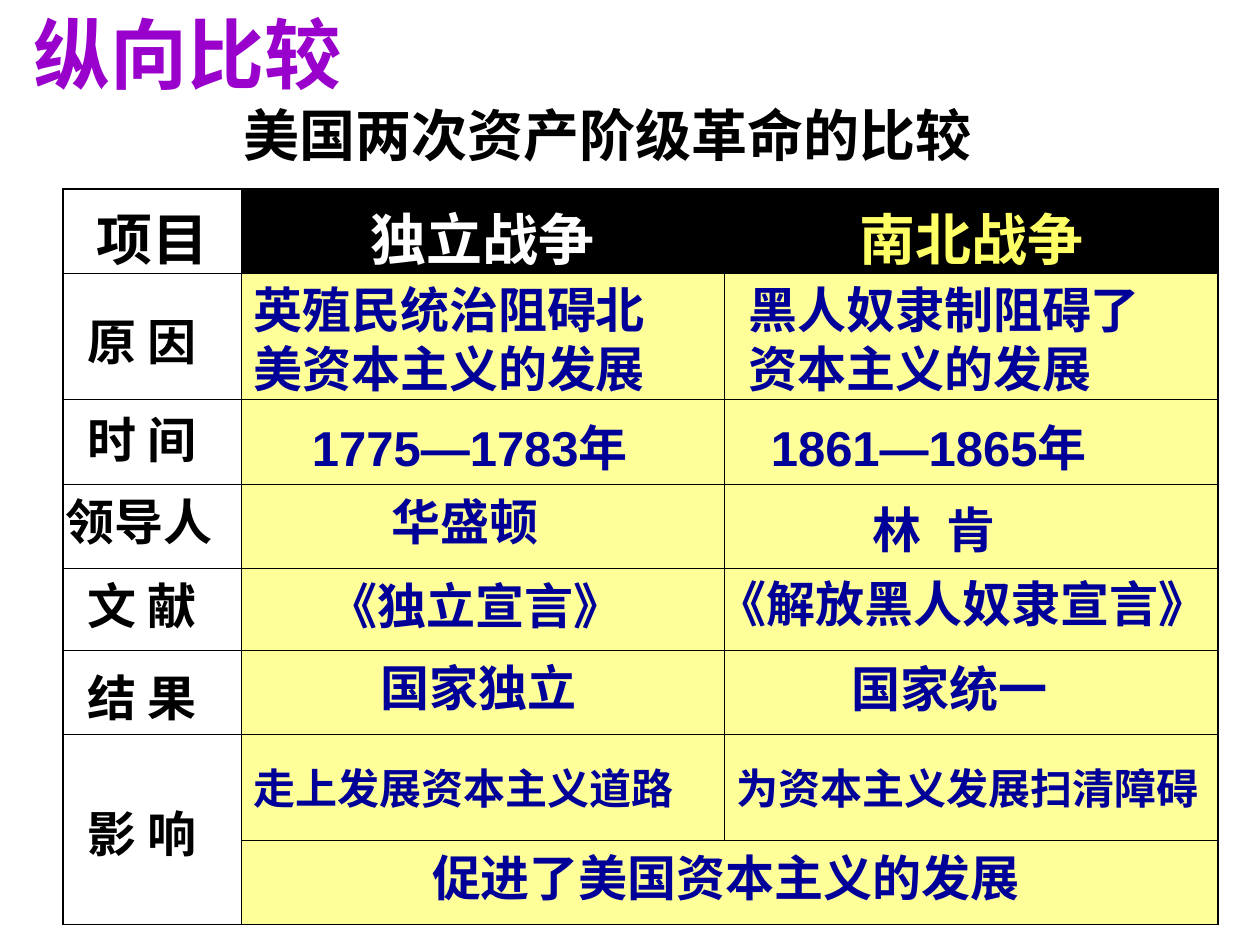
import pptx
import pptx.dml.color
import pptx.enum.text
import pptx.oxml.ns
import pptx.util
from lxml import etree
from pptx.util import Cm

COLOURS = {
    "title": "9900CC",
    "ink": "000000",
    "answer": "000099",
    "white": "FFFFFF",
    "highlight": "FFFF66",
    "cell": "FFFF99",
}
FONT = "Arial"
LINE_HEIGHT = 1.45
COLUMN_WIDTHS = [3.6, 9.73, 9.96]
ROW_HEIGHTS = [1.7, 2.55, 1.7, 1.7, 1.65, 1.7, 2.13, 1.7]
HEADERS = [("项目", "ink"), ("独立战争", "white"), ("南北战争", "highlight")]
THIN, THICK = 0.45, 1.08

# Each entry: text, left, top, width in cm from the table corner, and its options
ROW_LABELS = [
    ("原 因", 0.25, 2.34, 2.85, {}),
    ("时 间", 0.25, 4.32, 2.85, {}),
    ("领导人", -0.2, 5.97, 3.6, {}),
    ("文 献", 0.25, 7.67, 2.85, {}),
    ("结 果", 0.25, 9.53, 2.85, {}),
    ("影 响", 0.25, 12.27, 2.85, {}),
]
INDEPENDENCE_WAR = [
    ("英殖民统治阻碍北美资本主义的发展", 3.59, 1.7, 8.89, {"wrap": True, "height": 2.64}),
    ("1775—1783年", 4.77, 4.48, 7.25, {}),
    ("华盛顿", 6.38, 5.97, 3.6, {}),
    ("《独立宣言》", 5.11, 7.67, 6.6, {}),
    ("国家独立", 6.15, 9.32, 4.6, {}),
    ("走上发展资本主义道路", 3.59, 11.43, 17.58, {"wrap": True, "size": 24, "height": 1.27}),
]
CIVIL_WAR = [
    ("黑人奴隶制阻碍了资本主义的发展", 13.57, 1.7, 9.27, {"wrap": True, "height": 2.64}),
    ("1861—1865年", 14.02, 4.48, 8.2, {"wrap": True}),
    ("林 肯", 16.07, 6.13, 3.3, {"spacing": 3.9}),
    ("《解放黑人奴隶宣言》", 12.95, 7.62, 10.6, {}),
    ("国家统一", 15.65, 9.35, 4.6, {}),
    ("为资本主义发展扫清障碍", 13.32, 11.43, 10.79, {"wrap": True, "size": 24, "height": 1.27}),
]
SHARED_EFFECT = [
    ("促进了美国资本主义的发展", 7.19, 13.16, 16.9, {"wrap": True}),
]


def write_text(text_frame, text, size=28, colour="ink", align="LEFT", spacing=0):
    """Put one bold paragraph in a text frame; spacing is in points."""
    paragraph = text_frame.paragraphs[0]
    paragraph.alignment = getattr(pptx.enum.text.PP_ALIGN, align)
    run = paragraph.add_run()
    run.text = text
    run.font.name = FONT
    run.font.size = pptx.util.Pt(size)
    run.font.bold = True
    run.font.color.rgb = pptx.dml.color.RGBColor.from_string(COLOURS[colour])
    if spacing:
        run.font._element.set("spc", str(round(spacing * 100)))


def add_text(slide, text, left, top, width, height=LINE_HEIGHT, wrap=False, **text_format):
    shape = slide.shapes.add_textbox(Cm(left), Cm(top), Cm(width), Cm(height))
    shape.text_frame.word_wrap = wrap
    shape.text_frame.auto_size = pptx.enum.text.MSO_AUTO_SIZE.SHAPE_TO_FIT_TEXT
    write_text(shape.text_frame, text, **text_format)


def add_headings(slide, left, top):
    """Title at the corner of the region, with the table caption below it."""
    title = slide.shapes.title
    title.left, title.top = Cm(left), Cm(top)
    title.width, title.height = Cm(8.2), Cm(2.13)
    title.text_frame.auto_size = pptx.enum.text.MSO_AUTO_SIZE.NONE
    title.text_frame.vertical_anchor = pptx.enum.text.MSO_ANCHOR.TOP
    write_text(title.text_frame, "纵向比较", size=44, colour="title")
    add_text(slide, "美国两次资产阶级革命的比较", left + 4.22, top + 1.9, 16.71, 1.63,
             wrap=True, size=32)


def set_borders(cell, widths):
    """Draw the left, right, top and bottom borders, widths in points."""
    properties = cell._tc.get_or_add_tcPr()
    for side, width in zip("LRTB", widths):
        line = etree.SubElement(properties, pptx.oxml.ns.qn(f"a:ln{side}"),
                                w=str(int(pptx.util.Pt(width))))
        fill = etree.SubElement(line, pptx.oxml.ns.qn("a:solidFill"))
        etree.SubElement(fill, pptx.oxml.ns.qn("a:srgbClr"), val=COLOURS["ink"])


def add_grid(slide, left, top):
    """Comparison table: header row, label column and shaded answer cells."""
    row_count, column_count = len(ROW_HEIGHTS), len(COLUMN_WIDTHS)
    table = slide.shapes.add_table(
        row_count, column_count, Cm(left), Cm(top),
        Cm(sum(COLUMN_WIDTHS)), Cm(sum(ROW_HEIGHTS))).table
    table.first_row = table.horz_banding = False
    for column, width in zip(table.columns, COLUMN_WIDTHS):
        column.width = Cm(width)
    for row, height in zip(table.rows, ROW_HEIGHTS):
        row.height = Cm(height)

    # The effect label spans two rows, the shared effect two columns
    table.cell(6, 0).merge(table.cell(7, 0))
    table.cell(7, 1).merge(table.cell(7, 2))

    # Outer edges are thick, inner ones thin
    for row in range(row_count):
        for column in range(column_count):
            cell = table.cell(row, column)
            edges = (column == 0, column + cell.span_width == column_count,
                     row == 0, row + cell.span_height == row_count)
            set_borders(cell, [THICK if edge else THIN for edge in edges])
            if column == 0:
                cell.fill.background()
            else:
                cell.fill.solid()
                cell.fill.fore_color.rgb = pptx.dml.color.RGBColor.from_string(
                    COLOURS["ink" if row == 0 else "cell"])

    for column, (text, colour) in enumerate(HEADERS):
        cell = table.cell(0, column)
        cell.margin_top, cell.margin_bottom = Cm(0.13), 0
        write_text(cell.text_frame, text, size=32, colour=colour, align="CENTER")


def add_entries(slide, left, top, entries, colour):
    """Place one column of entries over the table."""
    for text, x, y, width, options in entries:
        add_text(slide, text, left + x, top + y, width, colour=colour, **options)


def main():
    presentation = pptx.Presentation()
    presentation.slide_width, presentation.slide_height = Cm(25.4), Cm(19.05)
    slide = presentation.slides.add_slide(presentation.slide_layouts[5])

    add_headings(slide, 0.43, 0)
    table_corner = (1.27, 3.81)
    add_grid(slide, *table_corner)
    add_entries(slide, *table_corner, ROW_LABELS, "ink")
    for entries in (INDEPENDENCE_WAR, CIVIL_WAR, SHARED_EFFECT):
        add_entries(slide, *table_corner, entries, "answer")

    presentation.save("out.pptx")


if __name__ == "__main__":
    main()
